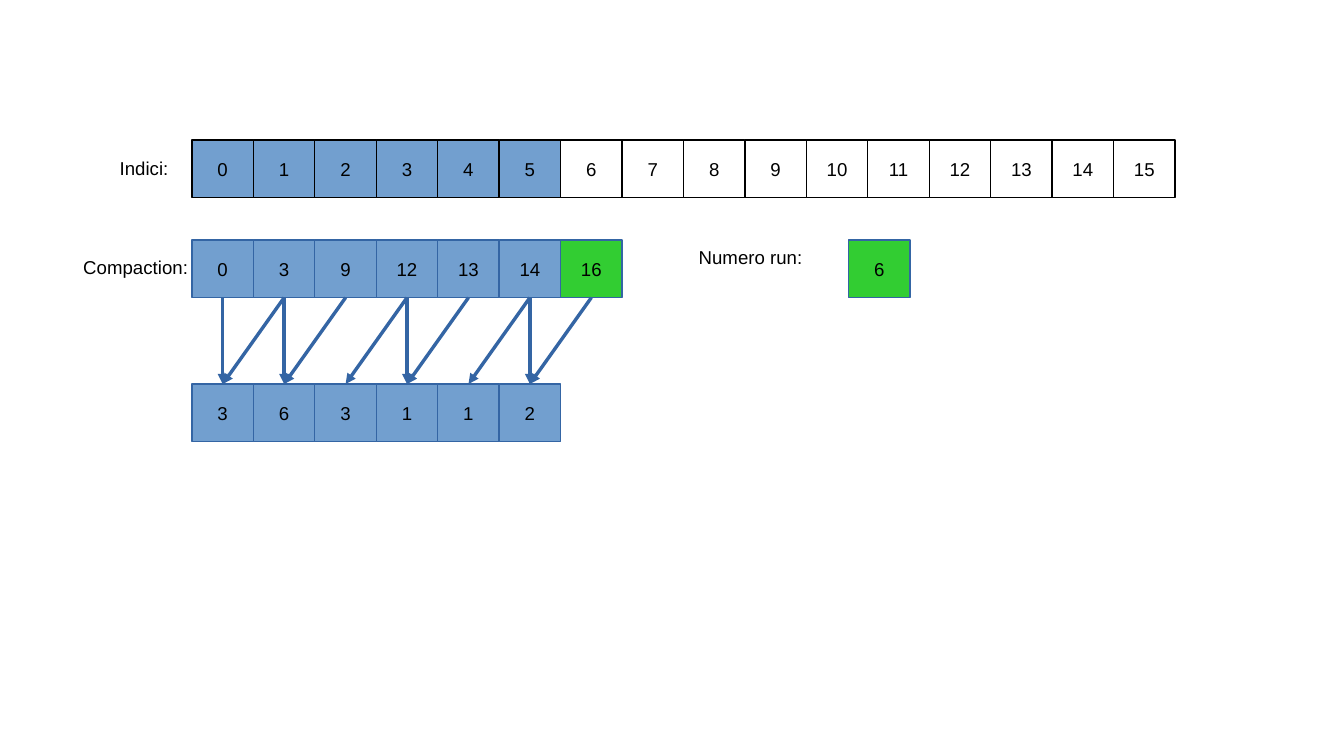
from lxml.etree import SubElement
from pptx import Presentation
from pptx.dml.color import RGBColor as RGB
from pptx.enum.shapes import MSO_CONNECTOR as LINK, MSO_SHAPE as SHAPE
from pptx.enum.text import MSO_ANCHOR as ANCHOR, PP_ALIGN as ALIGN
from pptx.oxml.ns import qn
from pptx.util import Cm, Pt

BLACK = RGB(0x00, 0x00, 0x00)
WHITE = RGB(0xFF, 0xFF, 0xFF)
BLUE = RGB(0x72, 0x9F, 0xCF)
NAVY = RGB(0x34, 0x65, 0xA4)
GREEN = RGB(0x32, 0xCD, 0x32)

LEFT, STEP, HIGH = 4, 1.28, 1.2
INDEX_TOP, RUN_TOP, COUNT_TOP = 2.92, 5, 8
STARTS = [0, 3, 9, 12, 13, 14, 16]
COUNTS = [b - a for a, b in zip(STARTS, STARTS[1:])]
DIRECT = [0, 1, 3, 5]


def write(shape, text, align):
    """Put one line of black Arial text in a shape."""
    frame = shape.text_frame
    frame.text = text
    line = frame.paragraphs[0]
    line.alignment = align
    font = line.runs[0].font
    font.name, font.size = "Arial", Pt(11)
    font.color.rgb = BLACK
    return frame


def add_cell(slide, x, y, text, fill, edge):
    """Draw one array cell with its number."""
    cell = slide.shapes.add_shape(SHAPE.RECTANGLE, Cm(x), Cm(y), Cm(STEP), Cm(HIGH))
    cell.shadow.inherit = False
    if fill is None:
        cell.fill.background()
    else:
        cell.fill.solid()
        cell.fill.fore_color.rgb = fill
    cell.line.color.rgb = edge
    cell.line.width = Pt(0)
    frame = write(cell, text, ALIGN.CENTER)
    frame.vertical_anchor = ANCHOR.MIDDLE
    frame.word_wrap = False


def add_row(slide, y, values, fills, edge):
    """Draw a row of touching cells."""
    for i, (value, fill) in enumerate(zip(values, fills)):
        add_cell(slide, LEFT + i * STEP, y, str(value), fill, edge)


def add_label(slide, x, y, width, text):
    """Draw a right-aligned label."""
    box = slide.shapes.add_textbox(Cm(x), Cm(y), Cm(width), Cm(1.12))
    write(box, text, ALIGN.RIGHT).word_wrap = True


def add_arrow(slide, start, end):
    """Draw an arrow from a run start down to a run length."""
    x1, x2 = (Cm(LEFT + (i + 0.5) * STEP) for i in (start, end))
    arrow = slide.shapes.add_connector(
        LINK.STRAIGHT, x1, Cm(RUN_TOP + HIGH), x2, Cm(COUNT_TOP))
    arrow.line.color.rgb = NAVY
    arrow.line.width = Pt(0)
    SubElement(arrow.line._get_or_add_ln(), qn("a:tailEnd"), type="triangle")
    SubElement(arrow._element.spPr, qn("a:effectLst"))


def main():
    """Build the slide and save it."""
    deck = Presentation()
    deck.slide_width, deck.slide_height = Cm(28), Cm(15.75)
    slide = deck.slides.add_slide(deck.slide_layouts[6])

    blues = [BLUE] * len(COUNTS)
    add_row(slide, RUN_TOP, STARTS, blues + [GREEN], NAVY)
    add_cell(slide, 17.68, RUN_TOP, str(len(COUNTS)), GREEN, NAVY)
    add_row(slide, INDEX_TOP, range(16), blues + [WHITE] * 9 + [None], BLACK)
    add_row(slide, COUNT_TOP, COUNTS, blues, NAVY)

    add_label(slide, 0, 5.21, 4.17, "Compaction:")
    add_label(slide, 2.2, 3.15, 1.56, "Indici:")
    add_label(slide, 13.79, RUN_TOP, 3.18, "Numero run:")

    for i in DIRECT:
        add_arrow(slide, i, i)
    for i in range(len(COUNTS)):
        add_arrow(slide, i + 1, i)
    deck.save("out.pptx")


if __name__ == "__main__":
    main()
